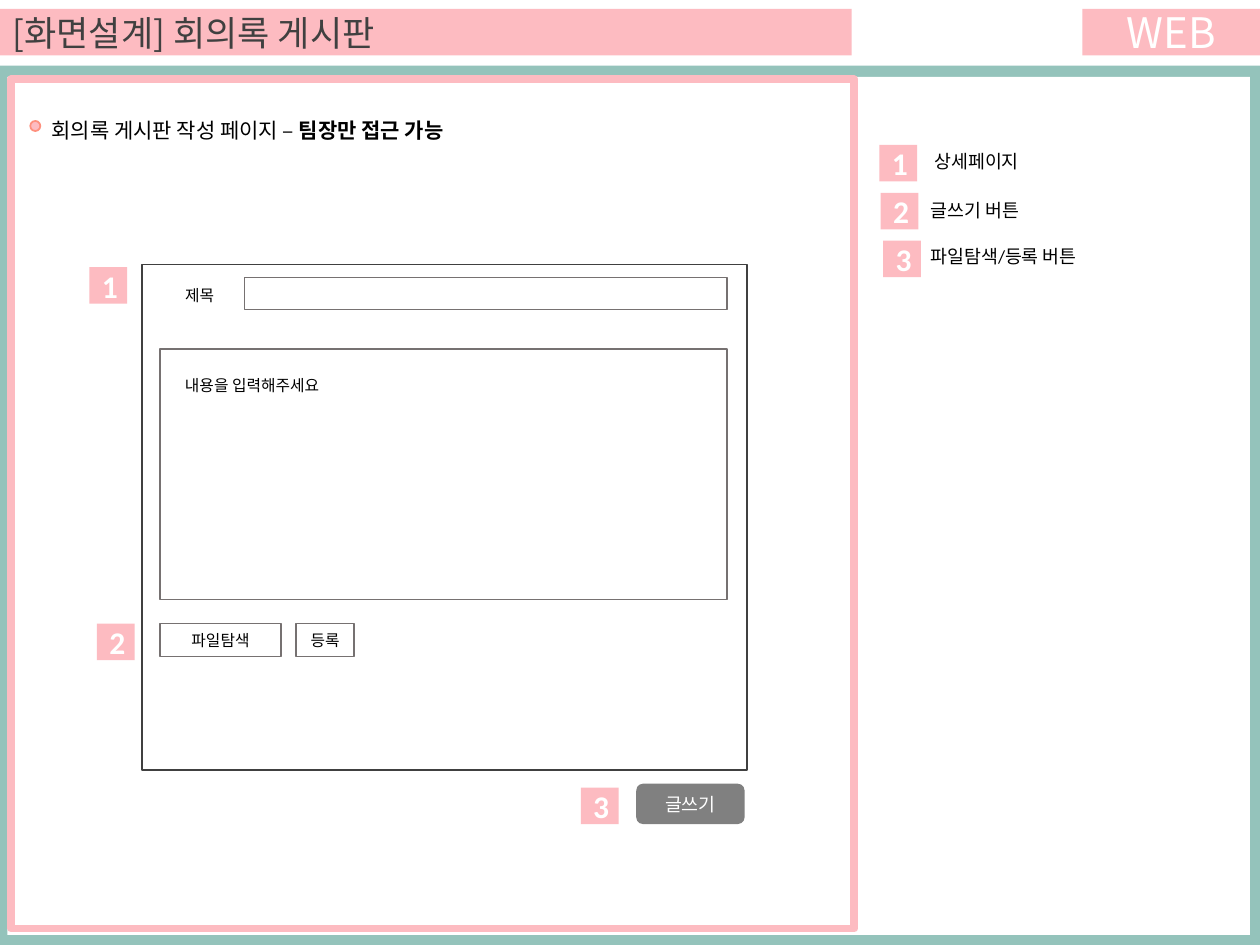
from dataclasses import dataclass
from pptx import Presentation
from pptx.dml.color import RGBColor
from pptx.enum.shapes import MSO_SHAPE
from pptx.enum.text import MSO_ANCHOR, MSO_AUTO_SIZE, PP_ALIGN
from pptx.util import Inches, Pt

RECT, ROUND, OVAL = MSO_SHAPE.RECTANGLE, MSO_SHAPE.ROUNDED_RECTANGLE, MSO_SHAPE.OVAL
MIDDLE, LEFT, CENTER = MSO_ANCHOR.MIDDLE, PP_ALIGN.LEFT, PP_ALIGN.CENTER
GROW, FIXED = MSO_AUTO_SIZE.SHAPE_TO_FIT_TEXT, MSO_AUTO_SIZE.NONE


@dataclass(frozen=True)
class Theme:
    pink: str = "FDBBC1"
    coral: str = "FE907E"
    green: str = "94C3BB"
    white: str = "FFFFFF"
    black: str = "000000"
    dark: str = "404040"
    edge: str = "767171"
    gray: str = "808080"
    body: str = "Calibri"
    head: str = "Noto Sans CJK KR"
    plain: str = "Arial"
    web: float = 24
    title: float = 20
    badge: float = 18
    lead: float = 12
    note: float = 10.5
    form: float = 9


theme = Theme()


def style(shape, text, size, color, font=theme.body, bold=False, align=LEFT):
    """Set the text of a shape and format its runs."""
    shape.text_frame.text = text
    para = shape.text_frame.paragraphs[0]
    para.alignment = align
    for run in para.runs:
        run.font.size, run.font.name, run.font.bold = Pt(size), font, bold
        run.font.color.rgb = RGBColor.from_string(color)


def draw(kind, box, fill=None, line=None, width=0.75):
    """Add a shape; without a fill or line colour that part is left clear."""
    shape = slide.shapes.add_shape(kind, *map(Inches, box))
    shape.shadow.inherit = False
    if fill:
        shape.fill.solid()
        shape.fill.fore_color.rgb = RGBColor.from_string(fill)
    else:
        shape.fill.background()
    if line:
        shape.line.color.rgb = RGBColor.from_string(line)
        shape.line.width = Pt(width)
    else:
        shape.line.fill.background()
    shape.text_frame.vertical_anchor = MIDDLE
    return shape


deck = Presentation()
deck.slide_width, deck.slide_height = Inches(10), Inches(7.5)
slide = deck.slides.add_slide(deck.slide_layouts[5])

# Header
title = slide.shapes.title
title.left, title.top, title.width, title.height = map(Inches, (0, 0.07, 6.76, 0.37))
title.fill.solid()
title.fill.fore_color.rgb = RGBColor.from_string(theme.pink)
title.text_frame.auto_size = FIXED
title.text_frame.vertical_anchor = MIDDLE
style(title, "[화면설계] 회의록 게시판", theme.title, theme.dark, theme.head)
web = draw(RECT, (8.59, 0.07, 1.41, 0.37), theme.pink)
style(web, "WEB", theme.web, theme.white, theme.head, align=CENTER)

# Page frame
draw(RECT, (0, 0.52, 10, 6.98), theme.green)
draw(RECT, (0.06, 0.61, 9.86, 6.81), theme.white)
draw(RECT, (0.09, 0.63, 6.69, 6.74), line=theme.pink, width=4.5)
draw(OVAL, (0.24, 0.96, 0.08, 0.08), theme.pink, theme.coral, 1)

# Form
draw(RECT, (1.13, 2.1, 4.8, 4.01), line=theme.dark, width=1)
for box in ((1.94, 2.2, 3.83, 0.26), (1.27, 2.77, 4.5, 1.99)):
    draw(RECT, box, line=theme.edge)
for left, width, text in ((1.27, 0.96, "파일탐색"), (2.35, 0.46, "등록")):
    button = draw(RECT, (left, 4.95, width, 0.26), line=theme.edge)
    style(button, text, theme.form, theme.black, align=CENTER)
write = draw(ROUND, (5.05, 6.22, 0.86, 0.32), theme.gray)
style(write, "글쓰기", theme.note, theme.white, theme.plain, align=CENTER)

# Number badges: on the form, then in the legend
badges = (
    ("1", 0.71, 2.12), ("2", 0.77, 4.95), ("3", 4.61, 6.25),
    ("1", 6.98, 1.15), ("2", 6.99, 1.53), ("3", 7.01, 1.91),
)
for text, left, top in badges:
    badge = draw(RECT, (left, top, 0.3, 0.29), theme.pink)
    style(badge, text, theme.badge, theme.white, bold=True, align=CENTER)

# Labels
labels = (
    ("제목", (1.37, 2.22, 0.45, 0.25), theme.form, False),
    ("내용을 입력해주세요", (1.37, 2.93, 1.37, 0.25), theme.form, False),
    ("상세페이지", (7.32, 1.14, 2.76, 0.28), theme.note, True),
    ("글쓰기 버튼", (7.29, 1.53, 2.76, 0.28), theme.note, True),
    ("파일탐색/등록 버튼", (7.29, 1.9, 2.76, 0.28), theme.note, True),
    ("회의록 게시판 작성 페이지 – ", (0.28, 0.88, 3.86, 0.3), theme.lead, True),
)
for text, box, size, wrap in labels:
    label = slide.shapes.add_textbox(*map(Inches, box))
    label.text_frame.word_wrap = wrap
    label.text_frame.auto_size = GROW
    style(label, text, size, theme.black)

# The last label is the lead line, which ends in bold
lead = label.text_frame
lead.margin_left = Inches(0.13)
strong = lead.paragraphs[0].add_run()
strong.text = "팀장만 접근 가능"
strong.font.size, strong.font.name, strong.font.bold = Pt(theme.lead), theme.body, True
strong.font.color.rgb = RGBColor.from_string(theme.black)

deck.save("out.pptx")
